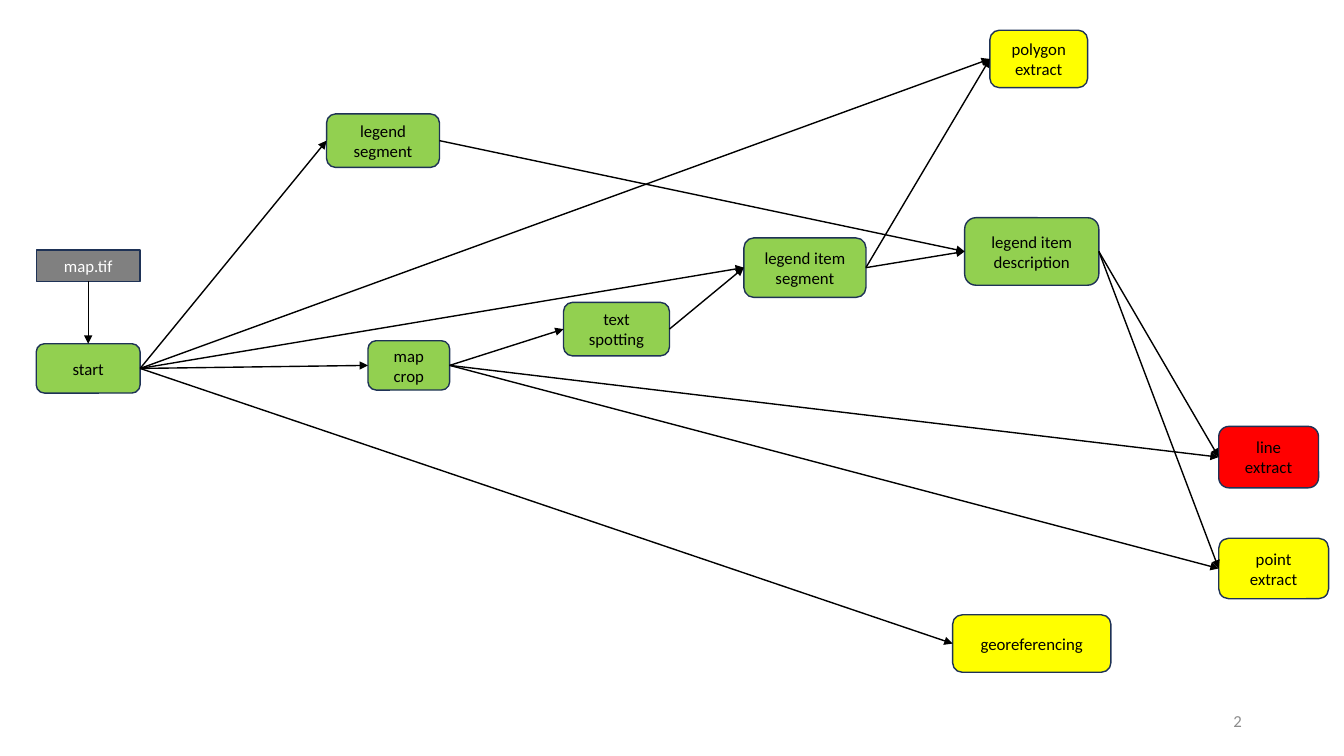
"""Build the slide showing the map processing workflow."""
from lxml import etree
from pptx import Presentation
from pptx.dml.color import RGBColor
from pptx.enum.shapes import MSO_CONNECTOR, MSO_SHAPE
from pptx.enum.text import MSO_ANCHOR, PP_ALIGN
from pptx.oxml.ns import qn
from pptx.util import Inches, Pt

STRAIGHT = MSO_CONNECTOR.STRAIGHT
RECTANGLE, ROUNDED = MSO_SHAPE.RECTANGLE, MSO_SHAPE.ROUNDED_RECTANGLE
MIDDLE = MSO_ANCHOR.MIDDLE
CENTER, RIGHT = PP_ALIGN.CENTER, PP_ALIGN.RIGHT
TOP_SITE, LEFT_SITE, BOTTOM_SITE, RIGHT_SITE = range(4)

SLIDE_WIDTH, SLIDE_HEIGHT = Inches(13.333), Inches(7.5)
BLANK_LAYOUT = 6
DONE, PARTIAL, MISSING, SOURCE = "92D050", "FFFF00", "FF0000", "808080"
BLACK, WHITE, OUTLINE, PAGE_GREY = "000000", "FFFFFF", "1E3256", "8C8C8C"
FONT = {"name": "Calibri", "size": Pt(12)}
FRAME = {"word_wrap": True, "vertical_anchor": MIDDLE}

# Each step: left, top, width and height in percent of the slide, then its status.
STEPS = {
    "point extract": (90.68, 71.2, 8.18, 8, PARTIAL),
    "legend segment": (24.3, 15.07, 8.4, 7.07, DONE),
    "legend item segment": (55.35, 31.47, 9.08, 7.87, DONE),
    "legend item description": (71.78, 28.8, 9.98, 8.93, DONE),
    "text spotting": (41.93, 40, 7.88, 7.07, DONE),
    "map crop": (27.38, 45.07, 6.08, 6.53, DONE),
    "line extract": (90.68, 56.4, 7.43, 8.13, MISSING),
    "polygon extract": (73.65, 4, 7.28, 7.6, PARTIAL),
    "georeferencing": (70.88, 81.33, 11.78, 7.6, PARTIAL),
    "start": (2.7, 45.47, 7.73, 6.53, DONE),
}
MAP_FILE_AREA = (2.7, 33.07, 7.73, 4.13)
PAGE_NUMBER_AREA = (70.65, 92.67, 22.5, 5.33)
FLOWS = {
    "start": ["legend segment", "map crop", "legend item segment",
              "georeferencing", "polygon extract"],
    "legend segment": ["legend item description"],
    "map crop": ["text spotting", "line extract", "point extract"],
    "text spotting": ["legend item segment"],
    "legend item segment": ["polygon extract", "legend item description"],
    "legend item description": ["line extract", "point extract"],
}


def color(hex_code):
    """Turn a hex string into a colour."""
    return RGBColor.from_string(hex_code)


def area(left, top, width, height):
    """Turn percentages of the slide into lengths."""
    return (int(SLIDE_WIDTH * left / 100), int(SLIDE_HEIGHT * top / 100),
            int(SLIDE_WIDTH * width / 100), int(SLIDE_HEIGHT * height / 100))


def apply_format(target, values):
    """Set every attribute named in a dict of format values."""
    for attribute, value in values.items():
        setattr(target, attribute, value)


def write(holder, wording, ink, alignment):
    """Write one formatted paragraph into a shape."""
    apply_format(holder.text_frame, FRAME)
    paragraph = holder.text_frame.paragraphs[0]
    paragraph.alignment = alignment
    run = paragraph.add_run()
    run.text = wording
    apply_format(run.font, FONT)
    run.font.color.rgb = color(ink)


def add_box(slide, outline, place, wording, fill, ink):
    """Add a filled box with a centred label."""
    box = slide.shapes.add_shape(outline, *area(*place))
    box.shadow.inherit = False
    box.fill.solid()
    box.fill.fore_color.rgb = color(fill)
    box.line.color.rgb = color(OUTLINE)
    box.line.width = Pt(1)
    write(box, wording, ink, CENTER)
    return box


def add_arrow(slide, origin, target, leave=RIGHT_SITE, enter=LEFT_SITE):
    """Connect two boxes with an arrow."""
    arrow = slide.shapes.add_connector(STRAIGHT, 0, 0, 0, 0)
    arrow.begin_connect(origin, leave)
    arrow.end_connect(target, enter)
    arrow.line.color.rgb = color(BLACK)
    arrow.line.width = Pt(1)
    properties = arrow.line._get_or_add_ln()
    etree.SubElement(properties, qn("a:tailEnd"), type="triangle")
    etree.SubElement(properties.getparent(), qn("a:effectLst"))


def add_page_number(slide, number):
    """Add the page number at the lower right."""
    holder = slide.shapes.add_textbox(*area(*PAGE_NUMBER_AREA))
    write(holder, number, PAGE_GREY, RIGHT)


def main():
    """Lay out the workflow and save it."""
    presentation = Presentation()
    apply_format(presentation, {"slide_width": SLIDE_WIDTH,
                                "slide_height": SLIDE_HEIGHT})
    slide = presentation.slides.add_slide(
        presentation.slide_layouts[BLANK_LAYOUT])
    steps = {}
    for wording, (*place, status) in STEPS.items():
        steps[wording] = add_box(slide, ROUNDED, place, wording, status, BLACK)
    map_file = add_box(slide, RECTANGLE, MAP_FILE_AREA, "map.tif", SOURCE, WHITE)
    add_arrow(slide, map_file, steps["start"], BOTTOM_SITE, TOP_SITE)
    for origin, targets in FLOWS.items():
        for target in targets:
            add_arrow(slide, steps[origin], steps[target])
    add_page_number(slide, "2")
    presentation.save("out.pptx")


if __name__ == "__main__":
    main()
